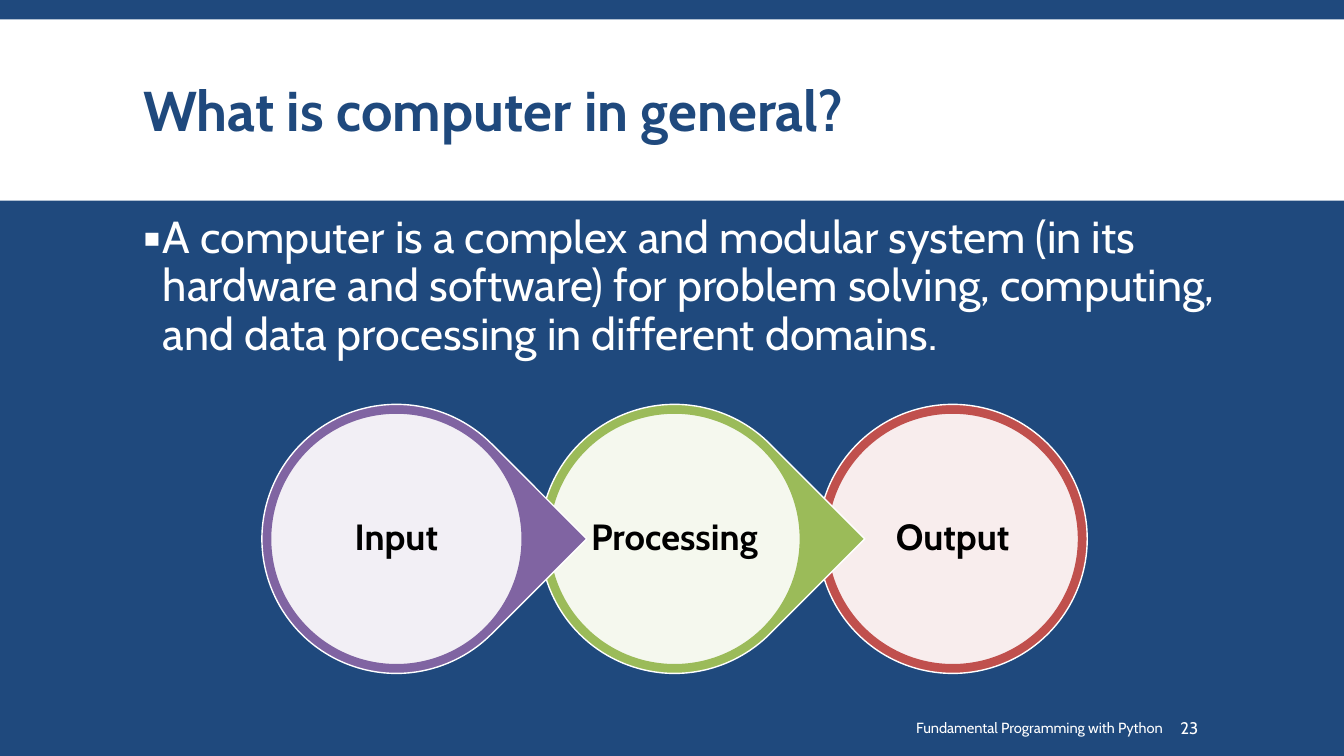
from dataclasses import dataclass
from lxml.etree import SubElement
from pptx import Presentation
from pptx.dml.color import RGBColor
from pptx.enum.shapes import MSO_SHAPE
from pptx.enum.text import MSO_ANCHOR, MSO_AUTO_SIZE, PP_ALIGN
from pptx.oxml.ns import qn
from pptx.util import Cm, Pt


@dataclass(frozen=True)
class Theme:
    face: str = "Cabin"
    navy: str = "1F497D"
    white: str = "FFFFFF"
    black: str = "000000"
    violet: str = "8064A2"
    green: str = "9BBB59"
    red: str = "C0504D"
    title: float = 40
    body: float = 32
    label: float = 26
    number: float = 12
    footer: float = 10.5


def apply(target, values):
    for name, value in values.items():
        setattr(target, name, value)


class Deck:
    def __init__(self, theme):
        self.theme = theme
        self.file = Presentation()
        apply(self.file, {"slide_width": Cm(33.87), "slide_height": Cm(19.05)})
        self.slide = self.file.slides.add_slide(self.file.slide_layouts[1])
        self.paint(self.slide.background.fill, theme.navy)

    def paint(self, fill, color):
        fill.solid()
        fill.fore_color.rgb = RGBColor.from_string(color)

    def place(self, shape, box):
        names = ("left", "top", "width", "height")
        apply(shape, dict(zip(names, map(Cm, box))))

    def letter(self, shape, text, size, color, bold=False, frame=None, para=None):
        apply(shape.text_frame, {
            "word_wrap": True, "auto_size": MSO_AUTO_SIZE.NONE,
            "vertical_anchor": MSO_ANCHOR.MIDDLE, **(frame or {})})
        line = shape.text_frame.paragraphs[0]
        apply(line, {"alignment": PP_ALIGN.LEFT, **(para or {})})
        run = line.add_run()
        run.text = text
        apply(run.font, {"name": self.theme.face, "size": Pt(size), "bold": bold})
        run.font.color.rgb = RGBColor.from_string(color)

    def title(self, text, box):
        shape = self.slide.shapes.title
        self.place(shape, box)
        self.letter(shape, text, self.theme.title, self.theme.navy, True,
                    para={"line_spacing": 0.85})

    def bullet(self, text, box):
        shape = self.slide.placeholders[1]
        self.place(shape, box)
        props = shape.text_frame.paragraphs[0]._p.get_or_add_pPr()
        props.set("marL", str(Cm(0.5)))
        props.set("indent", str(-Cm(0.5)))
        tint = SubElement(props, qn("a:buClr"))
        SubElement(tint, qn("a:srgbClr")).set("val", self.theme.white)
        SubElement(props, qn("a:buFont")).set("typeface", self.theme.face)
        SubElement(props, qn("a:buChar")).set("char", "▪")
        self.letter(shape, text, self.theme.body, self.theme.white,
                    frame={"vertical_anchor": MSO_ANCHOR.TOP},
                    para={"line_spacing": 0.9, "space_before": Pt(0),
                          "space_after": Pt(2)})

    def note(self, text, box, size, align):
        shape = self.slide.shapes.add_textbox(*map(Cm, box))
        self.letter(shape, text, size, self.theme.white,
                    frame={"margin_left": Cm(0.13)}, para={"alignment": align})

    def shape(self, kind, box, fill, edge=None):
        shape = self.slide.shapes.add_shape(kind, *map(Cm, box))
        shape.shadow.inherit = False
        self.paint(shape.fill, fill)
        if edge:
            self.paint(shape.line.fill, edge)
            shape.line.width = Pt(1)
        else:
            shape.line.fill.background()
        return shape

    def stage(self, text, left, top, size, color, last):
        white = self.theme.white
        kind = MSO_SHAPE.OVAL if last else MSO_SHAPE.TEAR
        outer = self.shape(kind, (left, top, size, size), color, white)
        if not last:
            outer.adjustments[0] = 1
            outer.rotation = 45
        rim = 0.22
        side = size - 2 * rim
        disc = self.shape(MSO_SHAPE.OVAL, (left + rim, top + rim, side, side),
                          white, color)
        tone = disc._element.spPr.find(qn("a:solidFill")).find(qn("a:srgbClr"))
        SubElement(tone, qn("a:alpha")).set("val", "90000")
        edges = ("left", "top", "right", "bottom")
        self.letter(disc, text, self.theme.label, self.theme.black, True,
                    frame={"word_wrap": False,
                           **{f"margin_{edge}": Cm(0.1) for edge in edges}},
                    para={"alignment": PP_ALIGN.CENTER, "line_spacing": 0.9})


def main():
    theme = Theme()
    deck = Deck(theme)
    band = deck.shape(MSO_SHAPE.RECTANGLE, (0, 0.49, 33.87, 4.57), theme.white)
    tree = deck.slide.shapes._spTree
    tree.remove(band._element)
    tree.insert(2, band._element)
    deck.title("What is computer in general?", (3.35, 0.79, 27.18, 4.19))
    deck.bullet("A computer is a complex and modular system (in its hardware and "
                "software) for problem solving, computing, and data processing "
                "in different domains.", (3.35, 5.28, 27.53, 11.99))
    deck.note("Fundamental Programming with Python", (15.54, 17.83, 14.02, 1.02),
              theme.footer, PP_ALIGN.RIGHT)
    deck.note("23", (29.62, 17.83, 2.62, 1.02), theme.number, PP_ALIGN.LEFT)
    stages = [("Input", theme.violet), ("Processing", theme.green),
              ("Output", theme.red)]
    final = len(stages) - 1
    for step, (text, color) in reversed(list(enumerate(stages))):
        deck.stage(text, 6.6 + 7.01 * step, 10.19, 6.78, color, step == final)
    deck.file.save("out.pptx")


if __name__ == "__main__":
    main()
